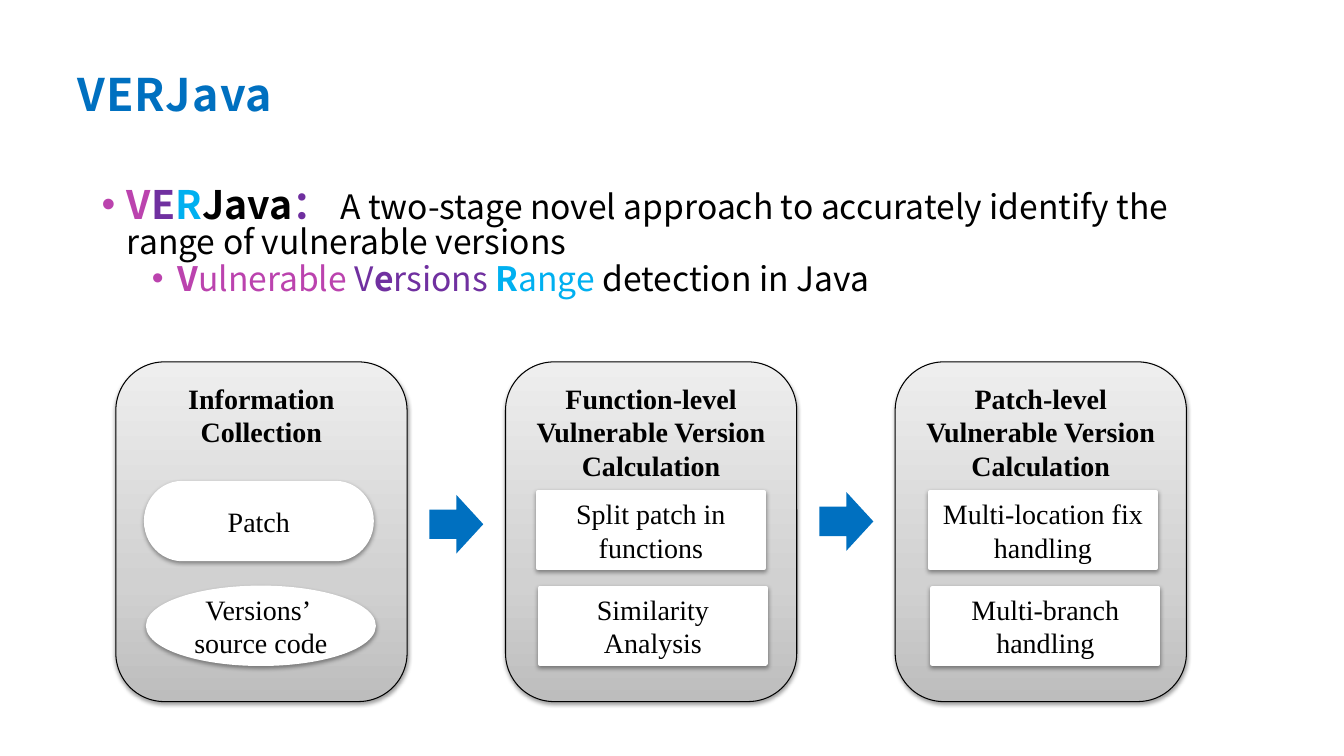
from lxml import etree
from pptx import Presentation
from pptx.dml.color import RGBColor
from pptx.enum.shapes import MSO_SHAPE
from pptx.enum.text import MSO_ANCHOR, PP_ALIGN
from pptx.oxml.ns import qn
from pptx.util import Cm, Pt

CENTER = PP_ALIGN.CENTER
TOP, MIDDLE = MSO_ANCHOR.TOP, MSO_ANCHOR.MIDDLE
ROUNDED = MSO_SHAPE.ROUNDED_RECTANGLE
RECTANGLE = MSO_SHAPE.RECTANGLE
TERMINATOR = MSO_SHAPE.FLOWCHART_TERMINATOR
CONNECTOR = MSO_SHAPE.FLOWCHART_CONNECTOR
RIGHT_ARROW = MSO_SHAPE.RIGHT_ARROW

SANS, SERIF = "Noto Sans CJK SC", "Times New Roman"
BLACK, WHITE, BLUE = "000000", "FFFFFF", "0070C0"
PINK, PURPLE, SKY = "BB43AE", "7030A0", "00B0F0"
PANEL_STOPS = [(0, "BDBDBD"), (35, "D1D1D1"), (100, "EEEEEE")]

PANEL_LEFT, PANEL_TOP, PANEL_PITCH = 2.92, 9.12, 9.82
PANEL_WIDTH, PANEL_HEIGHT = 7.34, 8.56
BOX_WIDTH, BOX_HEIGHT = 5.69, 1.92

# Each panel: heading, then its boxes as (shape, left, top, lines)
PANELS = [
    ("Information Collection", [
        (TERMINATOR, 3.68, 12.17, ["Patch"]),
        (CONNECTOR, 3.73, 14.81, ["Versions’ ", "source code"])]),
    ("Function-level Vulnerable Version Calculation", [
        (RECTANGLE, 13.56, 12.4, ["Split patch in functions"]),
        (RECTANGLE, 13.61, 14.81, ["Similarity Analysis"])]),
    ("Patch-level Vulnerable Version Calculation", [
        (RECTANGLE, 23.44, 12.4, ["Multi-location fix handling"]),
        (RECTANGLE, 23.5, 14.81, ["Multi-branch handling"])]),
]
ARROWS = [(10.82, 12.47), (20.65, 12.4)]

# Runs: text, colour, bold, size
HEADLINE = [
    ("V", PINK, True, 28), ("E", PURPLE, True, 28), ("R", SKY, True, 28),
    ("Java", BLACK, True, 28), ("： ", "6F2F9F", True, 28),
    ("A two-stage novel approach to accurately identify the range of "
     "vulnerable versions", BLACK, False, 24),
]
ACRONYM = [
    ("V", PINK, True, 24), ("ulnerable ", PINK, False, 24),
    ("V", PURPLE, False, 24), ("e", PURPLE, True, 24),
    ("rsions ", PURPLE, False, 24), ("R", SKY, True, 24),
    ("ange", SKY, False, 24), (" detection in Java", BLACK, False, 24),
]


def color(value):
    return RGBColor.from_string(value)


def place(shape, left, top, width, height):
    shape.left, shape.top = Cm(left), Cm(top)
    shape.width, shape.height = Cm(width), Cm(height)


def add_child(parent, tag, **attributes):
    return etree.SubElement(parent, qn(tag), attributes)


def set_font(font, size, value, bold, name=None):
    font.size, font.bold = Pt(size), bold
    font.color.rgb = color(value)
    if name:
        font.name = name


def add_span(para, text, value, bold, size):
    span = para.add_run()
    span.text = text
    set_font(span.font, size, value, bold, SANS)
    add_child(span.font._element, "a:ea", typeface=SANS)
    return span


def add_bullet(para, level, margin, space_before, spans):
    para.level = level
    para.line_spacing = 0.84
    para.space_before = Pt(space_before)
    properties = para._p.get_or_add_pPr()
    properties.set("marL", str(Cm(margin)))
    properties.set("indent", str(Cm(-0.64)))
    add_child(properties, "a:buChar", char="•")
    for span in spans:
        add_span(para, *span)


def add_shadow(shape):
    shape.shadow.inherit = False
    effects = shape._element.spPr.find(qn("a:effectLst"))
    shadow = add_child(effects, "a:outerShdw", blurRad="40000", dist="20000",
                       dir="5400000", rotWithShape="0")
    shade = add_child(shadow, "a:srgbClr", val=BLACK)
    add_child(shade, "a:alpha", val="38000")


def fill_gradient(shape):
    shape.fill.gradient()
    shape.fill.gradient_angle = 90
    stops = shape._element.spPr.find(qn("a:gradFill")).find(qn("a:gsLst"))
    for stop in list(stops):
        stops.remove(stop)
    for position, value in PANEL_STOPS:
        stop = add_child(stops, "a:gs", pos=str(position * 1000))
        add_child(stop, "a:srgbClr", val=value)


def add_box(page, kind, left, top, width, height, lines, line, line_width,
            anchor, bold):
    box = page.shapes.add_shape(kind, Cm(left), Cm(top), Cm(width), Cm(height))
    box.line.color.rgb = color(line)
    box.line.width = Pt(line_width)
    add_shadow(box)
    frame = box.text_frame
    frame.word_wrap = True
    frame.vertical_anchor = anchor
    frame.text = "\n".join(lines)
    for para in frame.paragraphs:
        para.alignment = CENTER
        set_font(para.font, 20, BLACK, bold, SERIF)
        # Shape styles colour text per run, so the run states its own colour
        for span in para.runs:
            span.font.color.rgb = color(BLACK)
    return box


def add_panel(page, index, heading, boxes):
    panel = add_box(page, ROUNDED, PANEL_LEFT + index * PANEL_PITCH, PANEL_TOP,
                    PANEL_WIDTH, PANEL_HEIGHT, [heading], BLACK, 0.75, TOP, True)
    fill_gradient(panel)
    for kind, left, top, lines in boxes:
        box = add_box(page, kind, left, top, BOX_WIDTH, BOX_HEIGHT, lines,
                      WHITE, 3, MIDDLE, False)
        box.fill.solid()
        box.fill.fore_color.rgb = color(WHITE)


def add_arrow(page, left, top):
    arrow = page.shapes.add_shape(RIGHT_ARROW, Cm(left), Cm(top), Cm(1.36), Cm(1.48))
    arrow.shadow.inherit = False
    arrow.fill.solid()
    arrow.fill.fore_color.rgb = color(BLUE)
    arrow.line.fill.background()


def fill_title(title):
    place(title, 1.7, 0.76, 30.48, 3.18)
    title.text_frame.vertical_anchor = MIDDLE
    para = title.text_frame.paragraphs[0]
    para.alignment = PP_ALIGN.LEFT
    span = add_span(para, "VERJava", BLUE, True, 32)
    span.font._element.set("spc", "80")


def fill_body(body):
    place(body, 2.54, 4.6, 28.09, 3.45)
    frame = body.text_frame
    frame.margin_left = frame.margin_right = frame.margin_bottom = 0
    add_bullet(frame.paragraphs[0], 0, 0.66, 3.6, HEADLINE)
    add_bullet(frame.add_paragraph(), 1, 1.93, 2.3, ACRONYM)


def main():
    deck = Presentation()
    deck.slide_width, deck.slide_height = Cm(33.87), Cm(19.05)
    page = deck.slides.add_slide(deck.slide_layouts[1])

    # Title and list
    fill_title(page.shapes.title)
    fill_body(page.placeholders[1])

    # Process panels and the arrows between them
    for index, (heading, boxes) in enumerate(PANELS):
        add_panel(page, index, heading, boxes)
    for left, top in ARROWS:
        add_arrow(page, left, top)

    deck.save("out.pptx")


if __name__ == "__main__":
    main()
